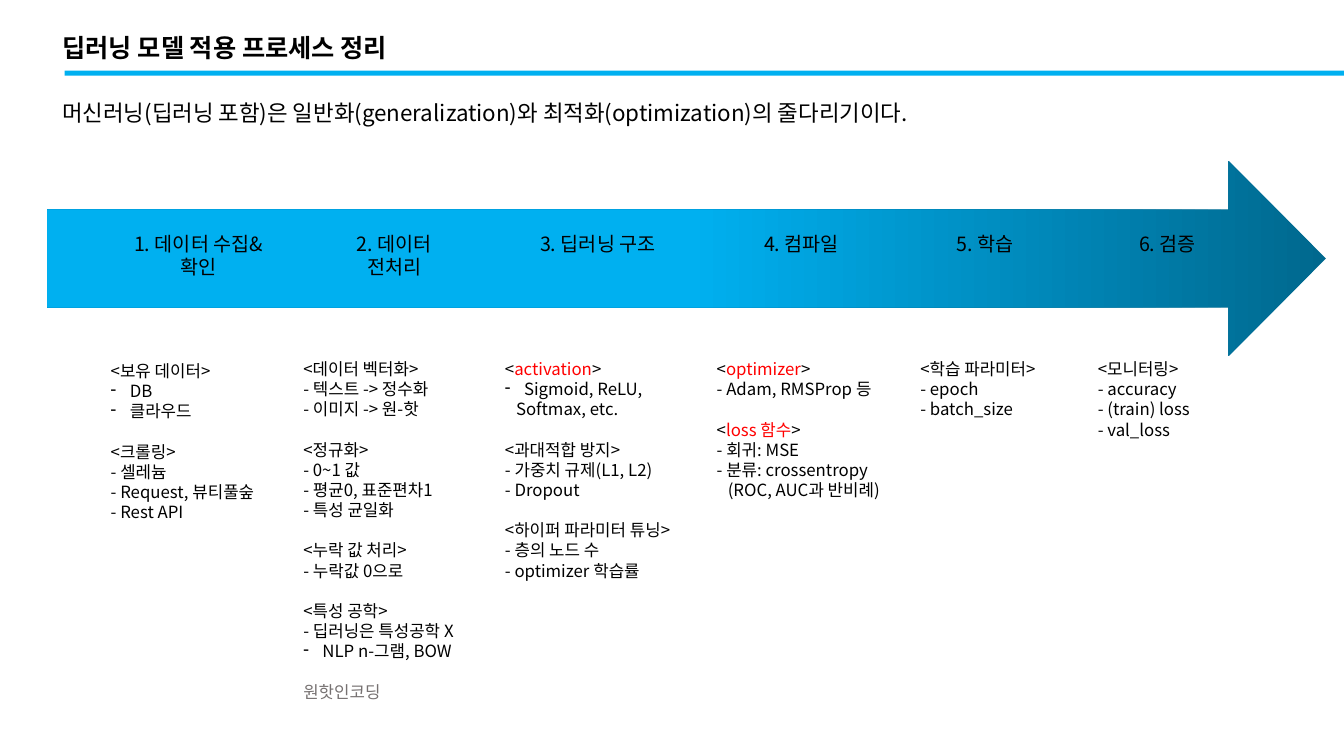
import pptx
import pptx.dml.color
import pptx.enum.shapes
import pptx.enum.text
import pptx.oxml
import pptx.oxml.ns
import pptx.util

PX = 9144  # EMU per px, 100 px to the inch
FONT = "Noto Sans CJK KR"
BLACK, RED, GREY = "000000", "FF0000", "767171"
SKY, DEEP = "00B0F0", "00688E"
SHAPES = pptx.enum.shapes.MSO_SHAPE
ALIGN = pptx.enum.text.PP_ALIGN
GROUP_GAP = 14.4  # points


def rgb(hex_color):
    return pptx.dml.color.RGBColor.from_string(hex_color)


def add_run(paragraph, text, size=12, color=BLACK, bold=False):
    run = paragraph.add_run()
    run.text = text
    run.font.size = pptx.util.Pt(size)
    run.font.name = FONT
    run.font.bold = bold
    run.font.color.rgb = rgb(color)
    east_asian = pptx.oxml.parse_xml(
        f'<a:ea {pptx.oxml.ns.nsdecls("a")} typeface="{FONT}"/>')
    run.font._element.find(pptx.oxml.ns.qn("a:latin")).addnext(east_asian)


def indent(paragraph, left, first=0, bullet=None):
    properties = paragraph._p.get_or_add_pPr()
    properties.set("marL", str(left * PX))
    properties.set("indent", str(first * PX))
    if bullet:
        properties.append(pptx.oxml.parse_xml(
            f'<a:buChar {pptx.oxml.ns.nsdecls("a")} char="{bullet}"/>'))


class ProcessSlide:
    def __init__(self, presentation):
        self.slide = presentation.slides.add_slide(presentation.slide_layouts[5])

    def title(self, text, left, top, width, height):
        title = self.slide.shapes.title
        title.left, title.top = left * PX, top * PX
        title.width, title.height = width * PX, height * PX
        frame = title.text_frame
        frame.vertical_anchor = pptx.enum.text.MSO_ANCHOR.TOP
        frame.auto_size = pptx.enum.text.MSO_AUTO_SIZE.NONE
        frame.paragraphs[0].alignment = ALIGN.LEFT
        add_run(frame.paragraphs[0], text, size=18, bold=True)

    def shape(self, preset, left, top, width, height, color, fade_from=None):
        """Add an unlined shape; fade_from is the colour at its right end."""
        shape = self.slide.shapes.add_shape(
            preset, left * PX, top * PX, width * PX, height * PX)
        shape.shadow.inherit = False
        shape.line.fill.background()
        if fade_from:
            shape.fill.gradient()
            shape.fill.gradient_angle = 180
            start, end = shape.fill.gradient_stops
            start.color.rgb, start.position = rgb(fade_from), 0
            end.color.rgb, end.position = rgb(color), 0.5
        else:
            shape.fill.solid()
            shape.fill.fore_color.rgb = rgb(color)

    def frame(self, left, top, width, height):
        frame = self.slide.shapes.add_textbox(
            left * PX, top * PX, width * PX, height * PX).text_frame
        frame.word_wrap = True
        return frame

    def text(self, lines, left, top, width, height, align=ALIGN.LEFT, **style):
        frame = self.frame(left, top, width, height)
        for index, line in enumerate(lines):
            paragraph = frame.add_paragraph() if index else frame.paragraphs[0]
            paragraph.alignment = align
            add_run(paragraph, line, **style)

    def details(self, groups, left, top, width, height):
        """Add headed groups: "*" starts a bulleted line, ">" a continued one."""
        frame = self.frame(left, top, width, height)
        paragraph = frame.paragraphs[0]
        for group_index, (heading, color, lines) in enumerate(groups):
            if group_index:
                paragraph = frame.add_paragraph()
                paragraph.space_before = pptx.util.Pt(GROUP_GAP)
            if color == RED:
                for text, part_color in (("<", BLACK), (heading, RED), (">", BLACK)):
                    add_run(paragraph, text, color=part_color)
            else:
                add_run(paragraph, heading, color=color)
            for line in lines:
                paragraph = frame.add_paragraph()
                if line.startswith("*"):
                    indent(paragraph, 19, -19, bullet="-")
                elif line.startswith(">"):
                    indent(paragraph, 11)
                add_run(paragraph, line.lstrip("*>"))


# heading lines, left, width
STAGES = [
    (["1. 데이터 수집&", "확인"], 105, 184),
    (["2. 데이터", "전처리"], 312, 158),
    (["3. 딥러닝 구조"], 514, 158),
    (["4. 컴파일"], 716, 158),
    (["5. 학습"], 898, 158),
    (["6. 검증"], 1079, 158),
]

# left, top, width, height, groups of (heading, colour, lines)
DETAILS = [
    (100, 353, 197, 212, [
        ("<보유 데이터>", BLACK, ["*DB", "*클라우드"]),
        ("<크롤링>", BLACK, ["- 셀레늄", "- Request, 뷰티풀숲", "- Rest API"]),
    ]),
    (291, 351, 221, 353, [
        ("<데이터 벡터화>", BLACK, ["- 텍스트 -> 정수화", "- 이미지 -> 원-핫"]),
        ("<정규화>", BLACK, ["- 0~1 값", "- 평균0, 표준편차1", "- 특성 균일화"]),
        ("<누락 값 처리>", BLACK, ["- 누락값 0으로"]),
        ("<특성 공학>", BLACK, ["- 딥러닝은 특성공학 X", "*NLP n-그램, BOW"]),
        ("원핫인코딩", GREY, []),
    ]),
    (491, 351, 221, 232, [
        ("activation", RED, ["*Sigmoid, ReLU,", ">Softmax, etc."]),
        ("<과대적합 방지>", BLACK, ["- 가중치 규제(L1, L2)", "- Dropout"]),
        ("<하이퍼 파라미터 튜닝>", BLACK, ["- 층의 노드 수", "- optimizer 학습률"]),
    ]),
    (701, 351, 221, 199, [
        ("optimizer", RED, ["- Adam, RMSProp 등"]),
        ("loss 함수", RED,
         ["- 회귀: MSE", "- 분류: crossentropy", ">(ROC, AUC과 반비례)"]),
    ]),
    (903, 351, 221, 111, [
        ("<학습 파라미터>", BLACK, ["- epoch", "- batch_size"]),
    ]),
    (1079, 351, 158, 131, [
        ("<모니터링>", BLACK, ["- accuracy", "- (train) loss", "- val_loss"]),
    ]),
]


def main():
    presentation = pptx.Presentation()
    presentation.slide_width, presentation.slide_height = 1333 * PX, 750 * PX
    page = ProcessSlide(presentation)
    page.title("딥러닝 모델 적용 프로세스 정리", 52, 27, 604, 40)
    page.shape(SHAPES.RECTANGLE, 64, 70, 1269, 5, SKY)
    page.text(["머신러닝(딥러닝 포함)은 일반화(generalization)와 "
               "최적화(optimization)의 줄다리기이다."], 52, 93, 923, 37, size=16)
    page.shape(SHAPES.RIGHT_ARROW, 47, 160, 1268, 193, SKY, fade_from=DEEP)
    for lines, left, width in STAGES:
        page.text(lines, left, 225, width, 17 + 20 * len(lines),
                  align=ALIGN.CENTER, size=14)
    for left, top, width, height, groups in DETAILS:
        page.details(groups, left, top, width, height)
    presentation.save("out.pptx")


if __name__ == "__main__":
    main()
